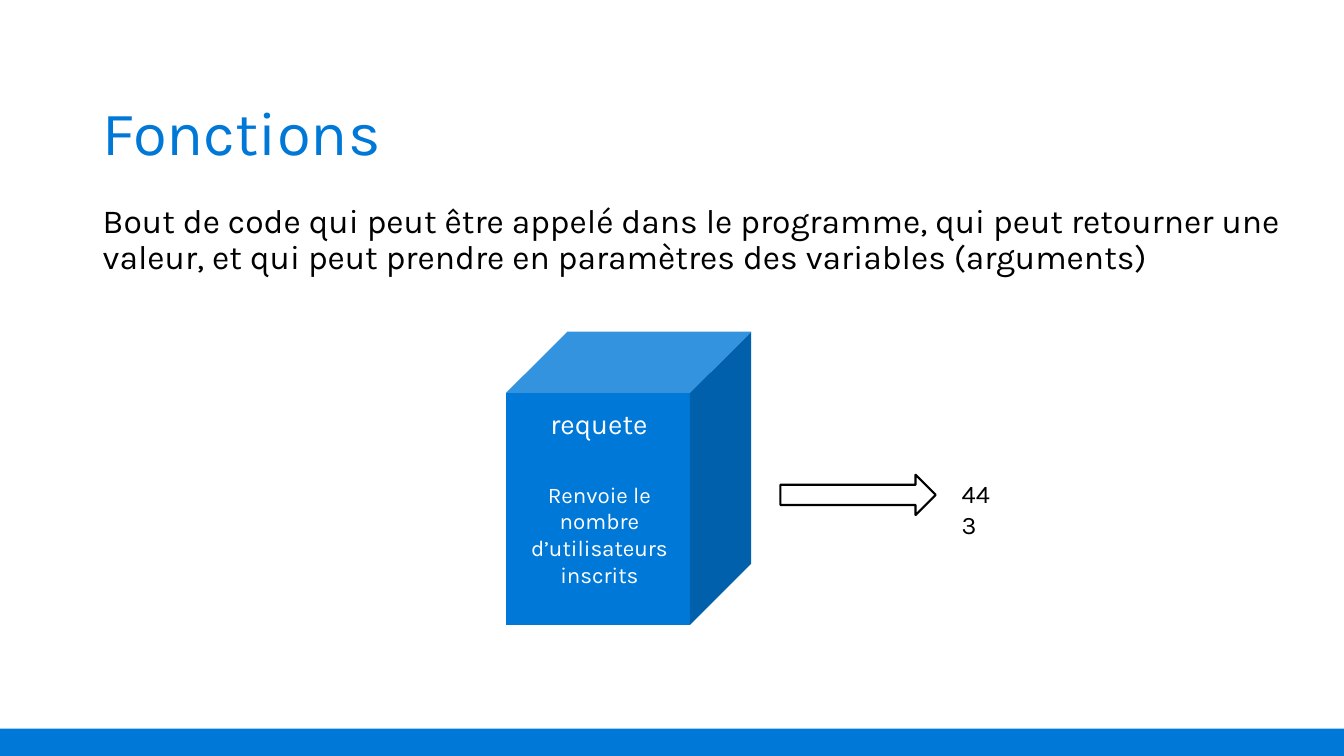
from dataclasses import dataclass

from pptx import Presentation
from pptx.dml.color import RGBColor
from pptx.enum.shapes import MSO_SHAPE
from pptx.enum.text import MSO_ANCHOR, PP_ALIGN
from pptx.util import Inches, Pt

RECT = MSO_SHAPE.RECTANGLE
CUBE = MSO_SHAPE.CUBE
ARROW = MSO_SHAPE.RIGHT_ARROW
TOP, MIDDLE = MSO_ANCHOR.TOP, MSO_ANCHOR.MIDDLE
LEFT, CENTER = PP_ALIGN.LEFT, PP_ALIGN.CENTER


@dataclass(frozen=True)
class Theme:
    font: str = "Karla"
    blue: RGBColor = RGBColor(0x00, 0x78, 0xD7)
    black: RGBColor = RGBColor(0, 0, 0)
    white: RGBColor = RGBColor(255, 255, 255)
    title: int = 44
    body: int = 24
    name: int = 20
    value: int = 18
    note: int = 16


THEME = Theme()


def add_text(slide, box, text, size, color, align=LEFT, anchor=TOP, line=1.0, before=0):
    frame = slide.shapes.add_textbox(*map(Inches, box)).text_frame
    frame.word_wrap = True
    frame.vertical_anchor = anchor
    frame.text = text
    para = frame.paragraphs[0]
    para.alignment = align
    para.line_spacing = line
    para.space_before = Pt(before)
    font = para.runs[0].font
    font.name = THEME.font
    font.size = Pt(size)
    font.color.rgb = color


def add_block(slide, kind, box, fill, line=None):
    shape = slide.shapes.add_shape(kind, *map(Inches, box))
    shape.shadow.inherit = False
    shape.fill.solid()
    shape.fill.fore_color.rgb = fill
    if line is None:
        shape.line.fill.background()
    else:
        shape.line.color.rgb = line
        shape.line.width = Pt(1.5)


def main():
    deck = Presentation()
    deck.slide_width, deck.slide_height = Inches(13.33), Inches(7.5)
    slide = deck.slides.add_slide(deck.slide_layouts[6])

    add_text(slide, (0.92, 0.62, 11.5, 1.45), "Fonctions",
             THEME.title, THEME.blue, anchor=MIDDLE, line=0.9)
    add_text(slide, (0.92, 1.98, 11.88, 2.21),
             "Bout de code qui peut être appelé dans le programme, qui peut retourner une "
             "valeur, et qui peut prendre en paramètres des variables (arguments)",
             THEME.body, THEME.black, line=0.9, before=10)
    add_block(slide, RECT, (0, 7.23, 13.33, 0.27), THEME.blue)

    add_block(slide, CUBE, (5.02, 3.29, 2.43, 2.91), THEME.blue)
    add_text(slide, (5.36, 3.98, 1.26, 0.44), "requete", THEME.name, THEME.white)
    add_text(slide, (5.15, 4.72, 1.59, 1.18), "Renvoie le nombre d’utilisateurs inscrits",
             THEME.note, THEME.white, align=CENTER)

    add_block(slide, ARROW, (7.74, 4.71, 1.54, 0.4), THEME.white, THEME.black)
    add_text(slide, (9.44, 4.7, 0.61, 0.4), "443", THEME.value, THEME.black)

    deck.save("out.pptx")


if __name__ == "__main__":
    main()
